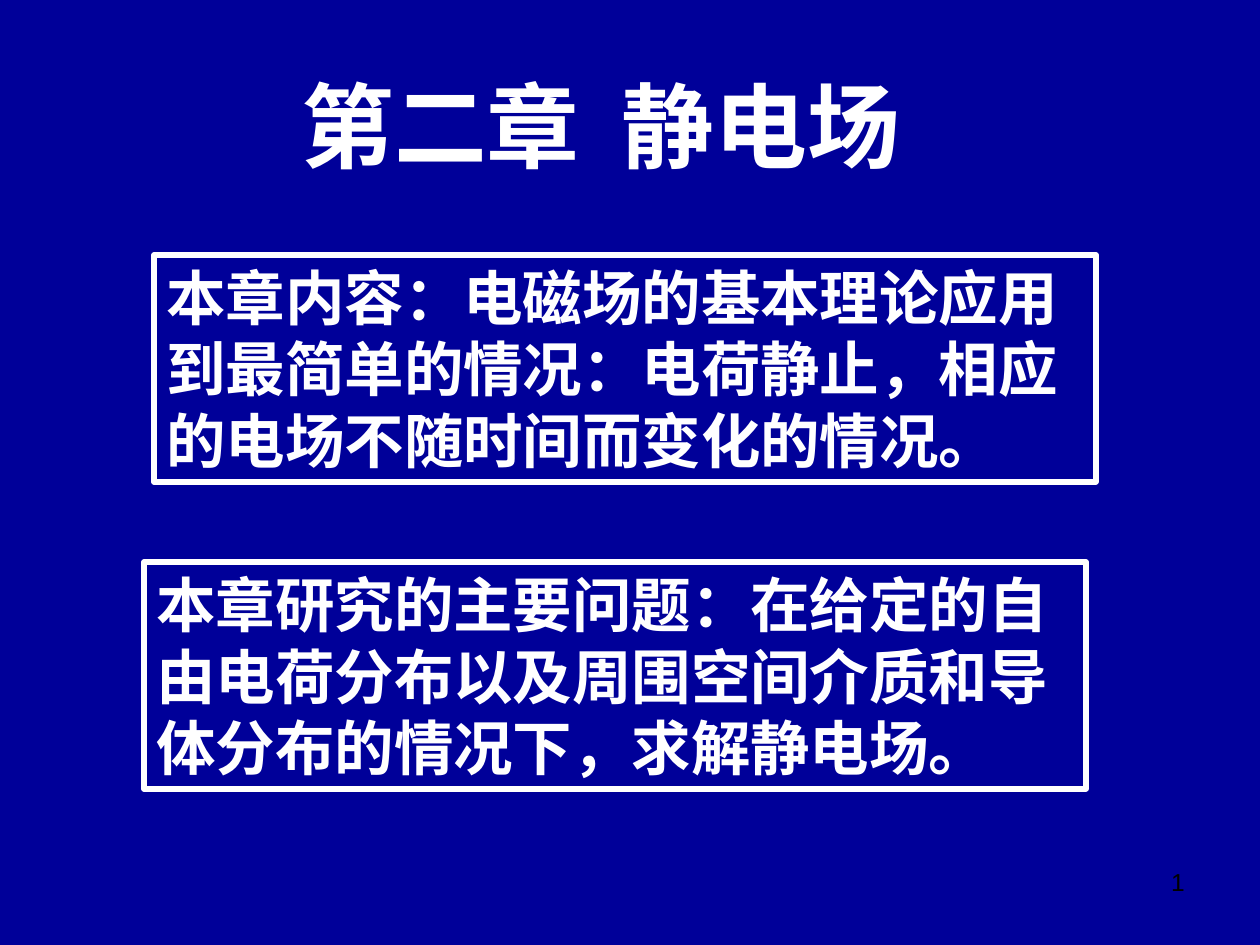
from pptx import Presentation
from pptx.dml.color import RGBColor
from pptx.enum.shapes import MSO_SHAPE
from pptx.enum.text import MSO_ANCHOR, MSO_AUTO_SIZE, PP_ALIGN
from pptx.util import Emu, Pt

EMU_PER_PX = 914400 / 126
WHITE, BLACK, NAVY = "FFFFFF", "000000", "000099"

TITLE = "第二章  静电场"
PAGE_NUMBER = "1"
# left, top, text
SUMMARIES = [
    (154, 255, "本章内容：电磁场的基本理论应用到最简单的情况：电荷静止，相应的电场不随时间而变化的情况。"),
    (144, 562, "本章研究的主要问题：在给定的自由电荷分布以及周围空间介质和导体分布的情况下，求解静电场。"),
]
SUMMARY_WIDTH, SUMMARY_HEIGHT = 942, 227


def px(*lengths):
    return [Emu(round(length * EMU_PER_PX)) for length in lengths]


def color(hex_string):
    return RGBColor.from_string(hex_string)


def write(shape, text, size, font_name, hex_color, alignment, anchor, bold=False):
    frame = shape.text_frame
    frame.word_wrap = True
    frame.vertical_anchor = anchor
    frame.text = text
    paragraph = frame.paragraphs[0]
    paragraph.alignment = alignment
    font = paragraph.runs[0].font
    font.name = font_name
    font.size = Pt(size)
    font.bold = bold
    font.color.rgb = color(hex_color)


def add_summary(slide, left, top, text):
    box = slide.shapes.add_shape(
        MSO_SHAPE.RECTANGLE, *px(left, top, SUMMARY_WIDTH, SUMMARY_HEIGHT))
    box.shadow.inherit = False
    box.fill.background()
    box.line.color.rgb = color(WHITE)
    box.line.width = Pt(3)
    write(box, text, 34, "Times New Roman", WHITE, PP_ALIGN.LEFT, MSO_ANCHOR.TOP, bold=True)
    box.text_frame.auto_size = MSO_AUTO_SIZE.SHAPE_TO_FIT_TEXT


def main():
    presentation = Presentation()
    presentation.slide_width, presentation.slide_height = px(1260, 945)
    slide = presentation.slides.add_slide(presentation.slide_layouts[6])
    slide.background.fill.solid()
    slide.background.fill.fore_color.rgb = color(NAVY)

    title = slide.shapes.add_textbox(*px(34, 45, 1134, 158))
    write(title, TITLE, 53, "Times New Roman", WHITE, PP_ALIGN.CENTER, MSO_ANCHOR.MIDDLE, bold=True)

    for left, top, text in SUMMARIES:
        add_summary(slide, left, top, text)

    page_number = slide.shapes.add_textbox(*px(903, 861, 294, 66))
    write(page_number, PAGE_NUMBER, 14, "Arial", BLACK, PP_ALIGN.RIGHT, MSO_ANCHOR.TOP)

    presentation.save("out.pptx")


if __name__ == "__main__":
    main()
